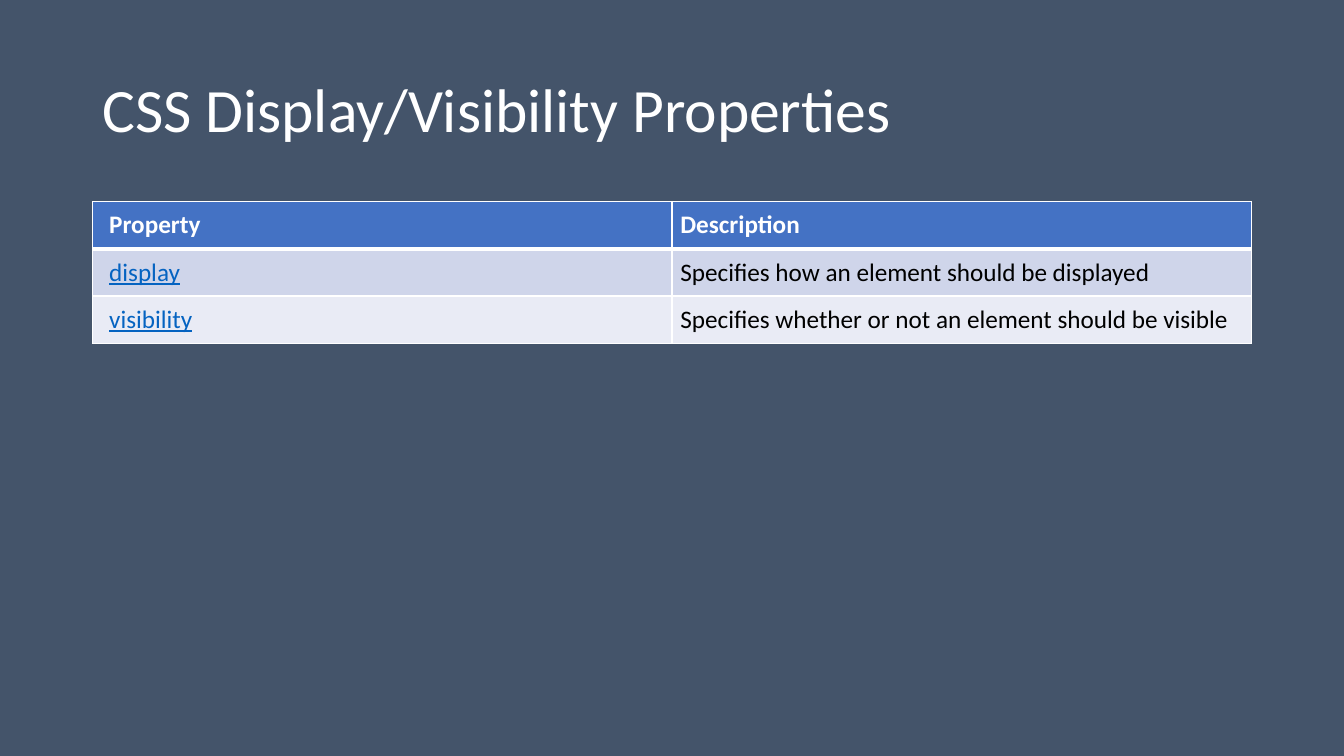
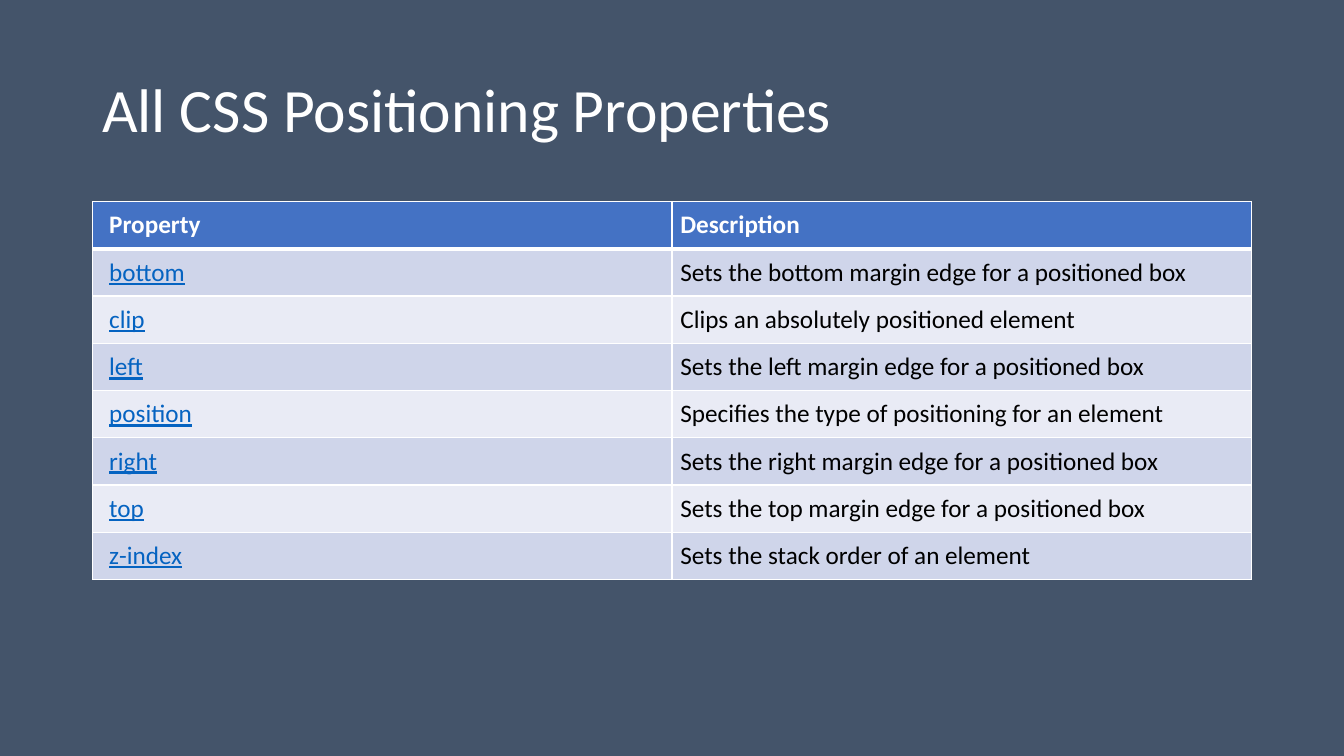
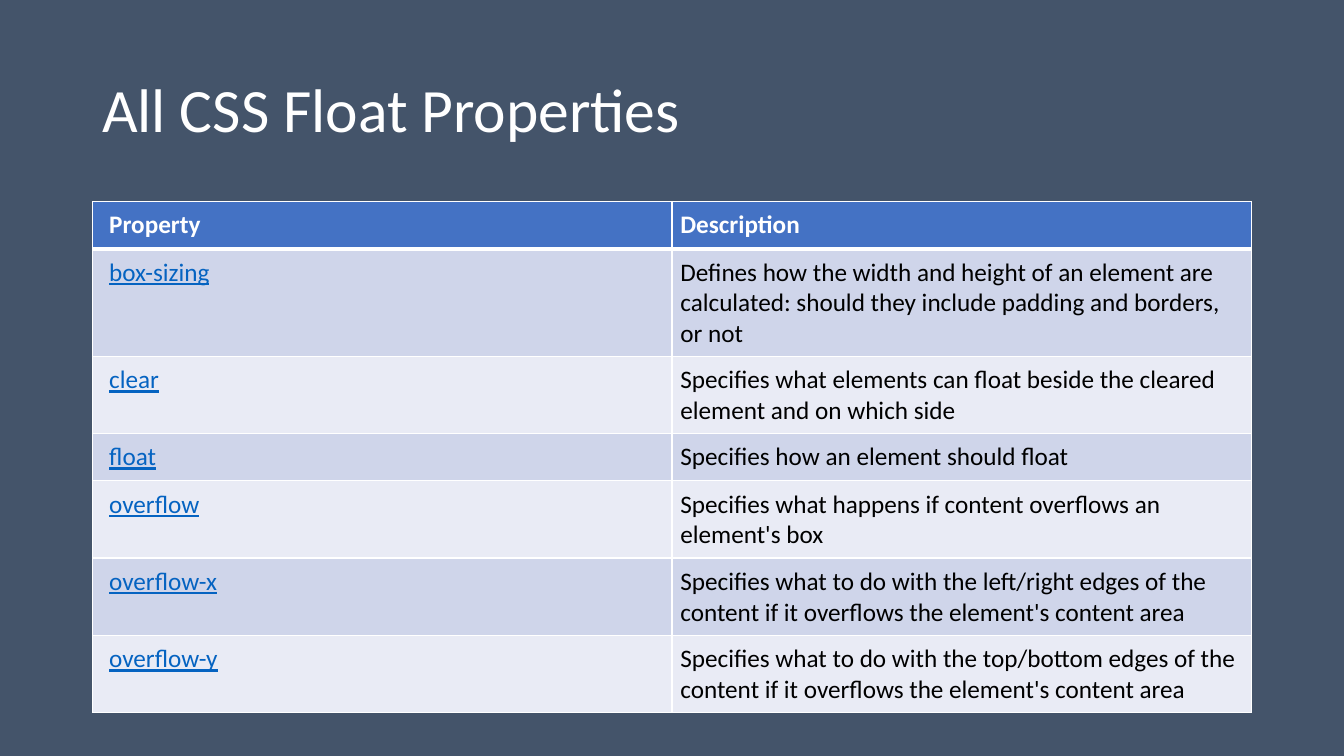
from pptx import Presentation
from pptx.dml.color import RGBColor
from pptx.enum.text import MSO_ANCHOR
from pptx.oxml.ns import qn
from pptx.util import Pt
from lxml.etree import SubElement

PX = 9525  # EMU per px
COLORS = {
    "back": "44546A",
    "white": "FFFFFF",
    "header": "4472C4",
    "odd": "CFD5EA",
    "even": "E9EBF5",
    "link": "0563C1",
    "text": "000000",
}
FONT = "Calibri"

# Text formats
TITLE = {"size": Pt(44), "color": "white"}
HEADER = {"size": Pt(18), "color": "white", "bold": True}
PROPERTY = {"size": Pt(18), "color": "link", "bold": False, "underline": True}
DESCRIPTION = {"size": Pt(18), "color": "text", "bold": False}

# Layout in px
LEFT, WIDTH = 88, 1104
TITLE_TOP, TITLE_HEIGHT = 38, 139
TABLE_TOP, ROW_HEIGHT = 192, 45
PAD, FIRST_PAD = 8, 16

SLIDES = [
    ("CSS Display/Visibility Properties", [
        ("display", "Specifies how an element should be displayed"),
        ("visibility", "Specifies whether or not an element should be visible"),
    ]),
    ("All CSS Positioning Properties", [
        ("bottom", "Sets the bottom margin edge for a positioned box"),
        ("clip", "Clips an absolutely positioned element"),
        ("left", "Sets the left margin edge for a positioned box"),
        ("position", "Specifies the type of positioning for an element"),
        ("right", "Sets the right margin edge for a positioned box"),
        ("top", "Sets the top margin edge for a positioned box"),
        ("z-index", "Sets the stack order of an element"),
    ]),
    ("All CSS Float Properties", [
        ("box-sizing", "Defines how the width and height of an element are calculated: "
                       "should they include padding and borders, or not"),
        ("clear", "Specifies what elements can float beside the cleared element "
                  "and on which side"),
        ("float", "Specifies how an element should float"),
        ("overflow", "Specifies what happens if content overflows an element's box"),
        ("overflow-x", "Specifies what to do with the left/right edges of the content "
                       "if it overflows the element's content area"),
        ("overflow-y", "Specifies what to do with the top/bottom edges of the content "
                       "if it overflows the element's content area"),
    ]),
]


def px(*lengths):
    return [n * PX for n in lengths]


def paint(fill, color):
    fill.solid()
    fill.fore_color.rgb = RGBColor.from_string(COLORS[color])


def write(tf, text, style):
    p = tf.paragraphs[0]
    r = p.add_run()
    r.text = text
    r.font.name = FONT
    for name, value in style.items():
        if name == "color":
            r.font.color.rgb = RGBColor.from_string(COLORS[value])
        else:
            setattr(r.font, name, value)
    return p


def add_title(s, text):
    sp = s.shapes.add_textbox(*px(LEFT, TITLE_TOP, WIDTH, TITLE_HEIGHT))
    tf = sp.text_frame
    tf.word_wrap = True
    tf.vertical_anchor = MSO_ANCHOR.MIDDLE
    write(tf, text, TITLE).line_spacing = 0.9


def add_borders(cell, top, bottom):
    tc_pr = cell._tc.get_or_add_tcPr()
    for side, points in (("L", 1), ("R", 1), ("T", top), ("B", bottom)):
        line = SubElement(tc_pr, qn(f"a:ln{side}"), w=str(Pt(points)))
        fill = SubElement(line, qn("a:solidFill"))
        SubElement(fill, qn("a:srgbClr"), val=COLORS["white"])


def fill_cell(cell, row, col, text):
    # The rule under the header row is thicker
    add_borders(cell, top=3 if row == 1 else 1, bottom=3 if row == 0 else 1)
    paint(cell.fill, "header" if row == 0 else "odd" if row % 2 else "even")
    margins = {"left": PAD if col else FIRST_PAD, "top": PAD, "right": PAD, "bottom": PAD}
    for side, margin in margins.items():
        setattr(cell, f"margin_{side}", margin * PX)
    write(cell.text_frame, text, HEADER if row == 0 else (PROPERTY, DESCRIPTION)[col])


def add_property_table(s, entries):
    rows = [("Property", "Description"), *entries]
    frame = s.shapes.add_table(
        len(rows), 2, *px(LEFT, TABLE_TOP, WIDTH, ROW_HEIGHT * len(rows)))
    for row, texts in enumerate(rows):
        for col, text in enumerate(texts):
            fill_cell(frame.table.cell(row, col), row, col, text)


def main():
    prs = Presentation()
    prs.slide_width, prs.slide_height = px(1280, 720)
    paint(prs.slide_master.background.fill, "back")
    blank = prs.slide_layouts[6]
    for title, entries in SLIDES:
        s = prs.slides.add_slide(blank)
        add_title(s, title)
        add_property_table(s, entries)
    prs.save("out.pptx")


if __name__ == "__main__":
    main()
